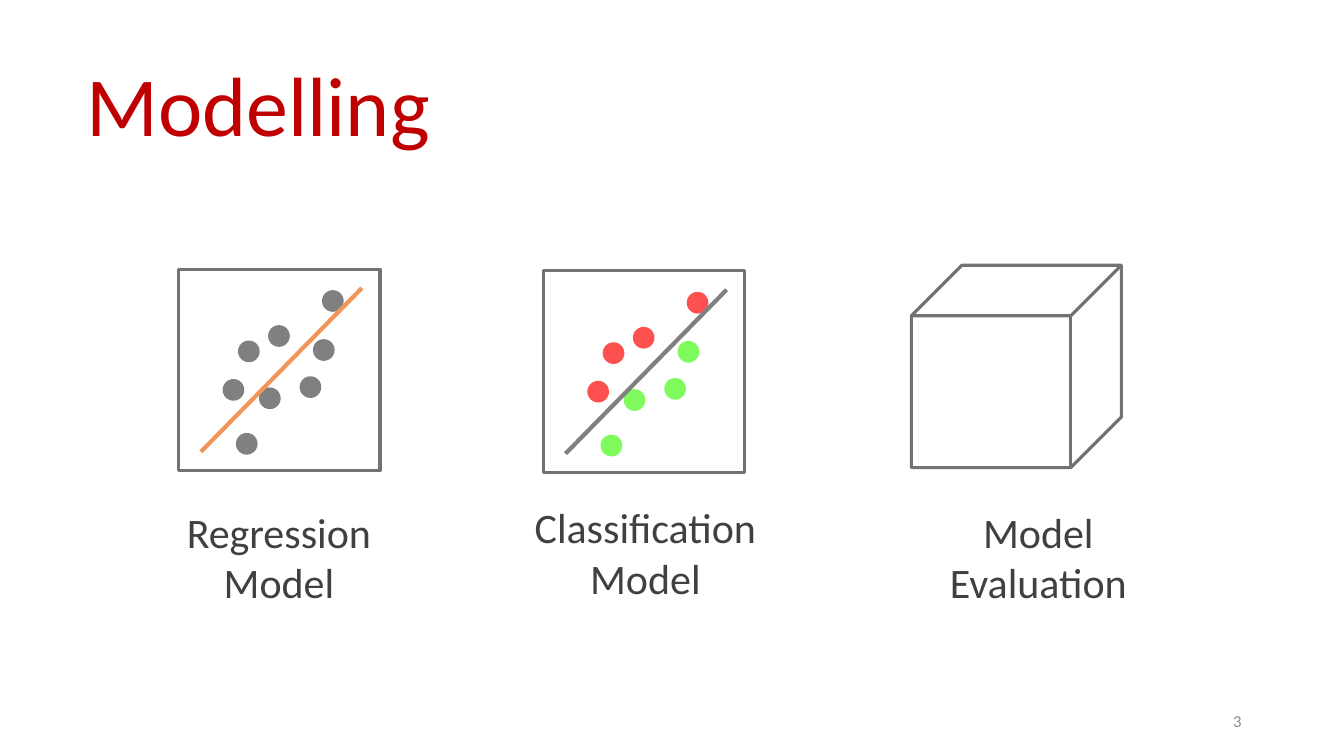
import pptx
import pptx.util
import pptx.dml.color
import pptx.enum.shapes
import pptx.enum.text
import pptx.oxml

Pt = pptx.util.Pt
Shape = pptx.enum.shapes.MSO_SHAPE
Align = pptx.enum.text.PP_ALIGN
Anchor = pptx.enum.text.MSO_ANCHOR
Fit = pptx.enum.text.MSO_AUTO_SIZE

hues = {
    "title": "C00000", "label": "404040", "number": "8C8C8C",
    "frame": "727272", "gray": "808080", "orange": "F19659",
    "red": "FF5050", "green": "7FFB5D",
}


def color(name):
    return pptx.dml.color.RGBColor.from_string(hues[name])


def write(box, text, size, hue, align, anchor, fit=Fit.NONE):
    frame = box.text_frame
    look = {"word_wrap": True, "auto_size": fit, "vertical_anchor": anchor}
    for key, value in look.items():
        setattr(frame, key, value)
    line = frame.paragraphs[0]
    line.alignment = align
    run = line.add_run()
    run.text = text
    for key, value in {"name": "Calibri", "size": Pt(size)}.items():
        setattr(run.font, key, value)
    run.font.color.rgb = color(hue)
    return line


deck = pptx.Presentation()
deck.slide_width, deck.slide_height = Pt(960), Pt(540)
slide = deck.slides.add_slide(deck.slide_layouts[5])

title = slide.shapes.title
place = {"left": 54.5, "top": 9.5, "width": 671, "height": 104.5}
for key, value in place.items():
    setattr(title, key, Pt(value))
head = write(title, "Modelling", 60, "title", Align.LEFT, Anchor.BOTTOM)
head.line_spacing = 0.9

# Scatter plots: dot offsets are measured from the frame's corner
side, dot = 144, 15.5
above = [(42.5, 51), (64, 40), (31.5, 78.5), (102.5, 15)]
below = [(41, 117), (57.5, 84.5), (86.5, 76.5), (96, 50)]
plots = [
    (127.5, 192.25, "gray", "gray", "orange"),
    (388, 193.5, "red", "green", "gray"),
]
outlines = []
for left, top, high, low, trend in plots:
    group = slide.shapes.add_group_shape().shapes
    outlines.append(group.add_shape(
        Shape.RECTANGLE, Pt(left), Pt(top), Pt(side), Pt(side)))
    for hue, spots in ((high, above), (low, below)):
        for x, y in spots:
            point = group.add_shape(
                Shape.OVAL, Pt(left + x), Pt(top + y), Pt(dot), Pt(dot))
            point.shadow.inherit = False
            point.fill.solid()
            point.fill.fore_color.rgb = color(hue)
            point.line.fill.background()
    line = group.add_connector(
        pptx.enum.shapes.MSO_CONNECTOR.STRAIGHT,
        Pt(left + 16), Pt(top + 130.5), Pt(left + 131), Pt(top + 13.5))
    line.line.color.rgb = color(trend)
    line.line.width = Pt(3)
    line._element.spPr.append(pptx.oxml.parse_xml(
        '<a:effectLst xmlns:a='
        '"http://schemas.openxmlformats.org/drawingml/2006/main"/>'))

outlines.append(slide.shapes.add_shape(
    Shape.CUBE, Pt(651), Pt(189.5), Pt(150), Pt(144.5)))
for shape in outlines:
    shape.shadow.inherit = False
    shape.fill.background()
    shape.line.color.rgb = color("frame")
    shape.line.width = Pt(2.25)

labels = [
    ("Regression Model", 108.5, 358, 181.5),
    ("Classification Model", 356.5, 355, 209),
    ("Model Evaluation", 631, 358, 221.5),
]
for text, left, top, width in labels:
    box = slide.shapes.add_textbox(Pt(left), Pt(top), Pt(width), Pt(80))
    write(box, text, 30, "label", Align.CENTER, Anchor.TOP,
          Fit.SHAPE_TO_FIT_TEXT)

number = slide.shapes.add_textbox(Pt(678), Pt(500.5), Pt(216), Pt(28.75))
write(number, "3", 12, "number", Align.RIGHT, Anchor.MIDDLE)

deck.save("out.pptx")
